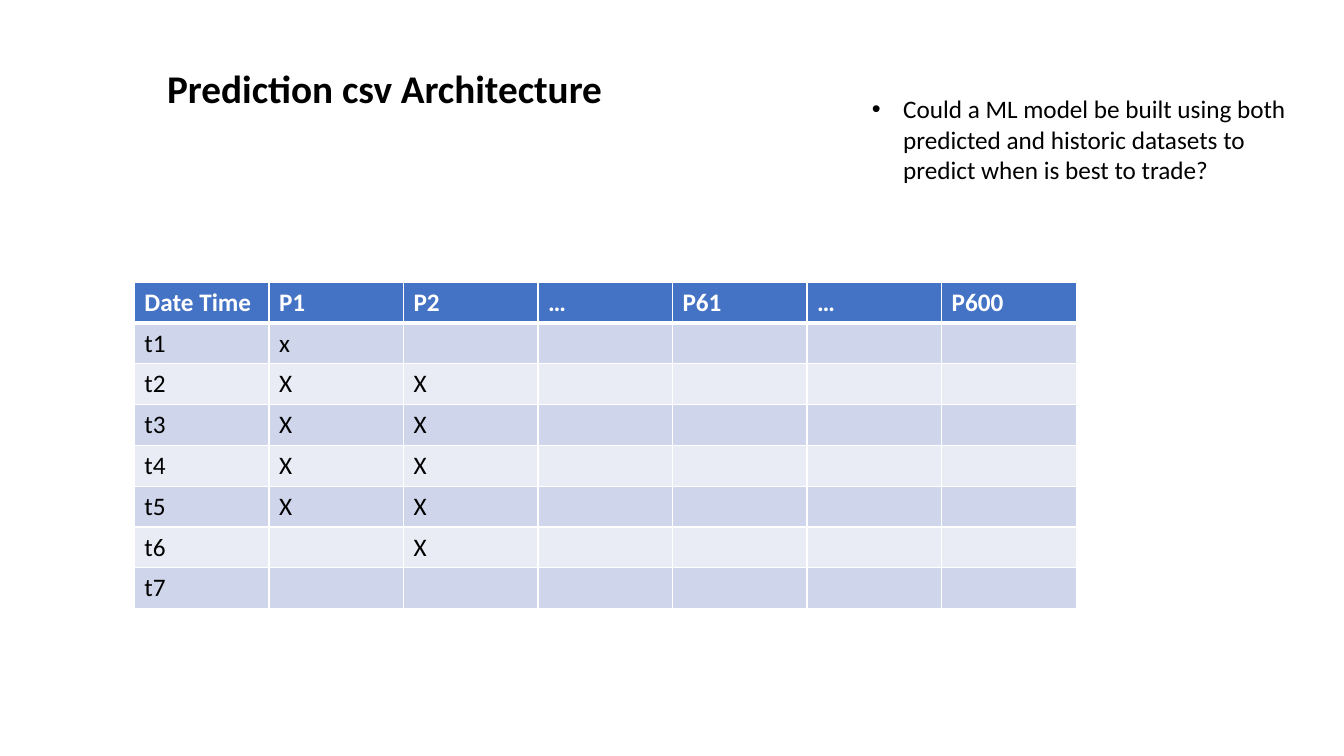
"""Build the slide on the layout of a prediction csv."""
from dataclasses import dataclass

from lxml.etree import SubElement
from pptx import Presentation
from pptx.dml.color import RGBColor
from pptx.oxml.ns import qn
from pptx.util import Emu, Inches, Pt

FONT = "Calibri"
BLACK = RGBColor(0x00, 0x00, 0x00)
WHITE = RGBColor(0xFF, 0xFF, 0xFF)
HEADER_BLUE = RGBColor(0x44, 0x72, 0xC4)
BAND_DARK = RGBColor(0xCF, 0xD5, 0xEA)
BAND_LIGHT = RGBColor(0xE9, 0xEB, 0xF5)

HEADERS = ["Date Time", "P1", "P2", "…", "P61", "…", "P600"]
MARKS = {
    "t1": ["x"],
    "t2": ["X", "X"],
    "t3": ["X", "X"],
    "t4": ["X", "X"],
    "t5": ["X", "X"],
    "t6": ["", "X"],
    "t7": [],
}

prs = Presentation()
prs.slide_width, prs.slide_height = Inches(13.33), Inches(7.5)
s = prs.slides.add_slide(prs.slide_layouts[6])


@dataclass(frozen=True)
class Box:
    """Hold a position and size in percent of the slide."""
    left: float
    top: float
    width: float
    height: float

    def emu(self) -> tuple[Emu, Emu, Emu, Emu]:
        """Convert the box to slide lengths."""
        w, h = prs.slide_width / 100, prs.slide_height / 100
        return (Emu(int(self.left * w)), Emu(int(self.top * h)),
                Emu(int(self.width * w)), Emu(int(self.height * h)))


@dataclass(frozen=True)
class Label:
    """Describe a one-paragraph text box."""
    text: str
    box: Box
    size: int
    bold: bool = False
    wrap: bool = True
    bullet: bool = False


LABELS = [
    Label("Prediction csv Architecture", Box(11.7, 7.87, 34.28, 7.6), 28,
          bold=True, wrap=False),
    Label("Could a ML model be built using both predicted and historic "
          "datasets to predict when is best to trade?",
          Box(64.14, 11.73, 32.71, 25.6), 18, bullet=True),
]
TABLE = Box(10, 37.33, 70.07, 43.2)


def style_text(p, size: int, color: RGBColor, bold: bool) -> None:
    """Format every run of a paragraph."""
    for r in p.runs:
        r.font.name, r.font.size = FONT, Pt(size)
        r.font.bold, r.font.color.rgb = bold, color


def add_bullet(p) -> None:
    """Give a paragraph a hanging round bullet."""
    pPr = p._p.get_or_add_pPr()
    pPr.set("marL", str(Inches(0.31)))
    pPr.set("indent", str(-Inches(0.31)))
    SubElement(pPr, qn("a:buFont"), typeface="Arial")
    SubElement(pPr, qn("a:buChar"), char="•")


def add_label(label: Label) -> None:
    """Draw a text box."""
    tf = s.shapes.add_textbox(*label.box.emu()).text_frame
    tf.word_wrap = label.wrap
    tf.text = label.text
    p = tf.paragraphs[0]
    style_text(p, label.size, BLACK, label.bold)
    if label.bullet:
        add_bullet(p)


def add_borders(cell, bottom: int, top: int) -> None:
    """Outline a cell in white with widths in points."""
    tcPr = cell._tc.get_or_add_tcPr()
    for side, width in {"L": 1, "R": 1, "T": top, "B": bottom}.items():
        ln = SubElement(tcPr, qn(f"a:ln{side}"), w=str(Pt(width)))
        fill = SubElement(ln, qn("a:solidFill"))
        SubElement(fill, qn("a:srgbClr"), val=str(WHITE))


def add_grid(box: Box, rows: list[list[str]]) -> None:
    """Draw the table with a header and banded rows."""
    table = s.shapes.add_table(len(rows), len(HEADERS), *box.emu()).table
    for i, row in enumerate(rows):
        header = i == 0
        band = BAND_DARK if i % 2 else BAND_LIGHT
        for j, text in enumerate(row):
            cell = table.cell(i, j)
            cell.text = text
            add_borders(cell, 3 if header else 1, 3 if i == 1 else 1)
            cell.fill.solid()
            cell.fill.fore_color.rgb = HEADER_BLUE if header else band
            style_text(cell.text_frame.paragraphs[0], 18,
                       WHITE if header else BLACK, header)


for label in LABELS:
    add_label(label)
body = [[time, *marks] + [""] * (len(HEADERS) - 1 - len(marks))
        for time, marks in MARKS.items()]
add_grid(TABLE, [HEADERS, *body])
prs.save("out.pptx")
